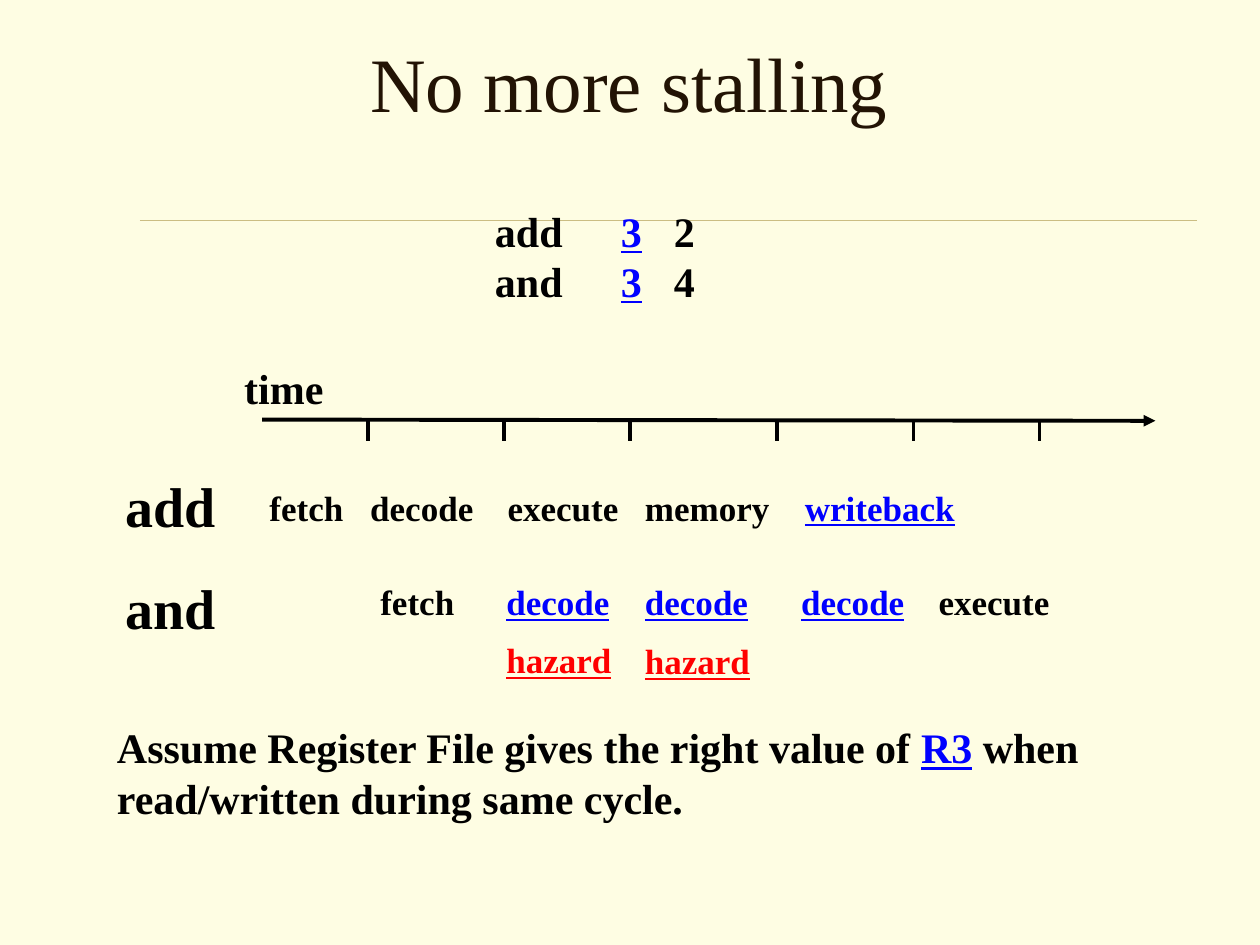
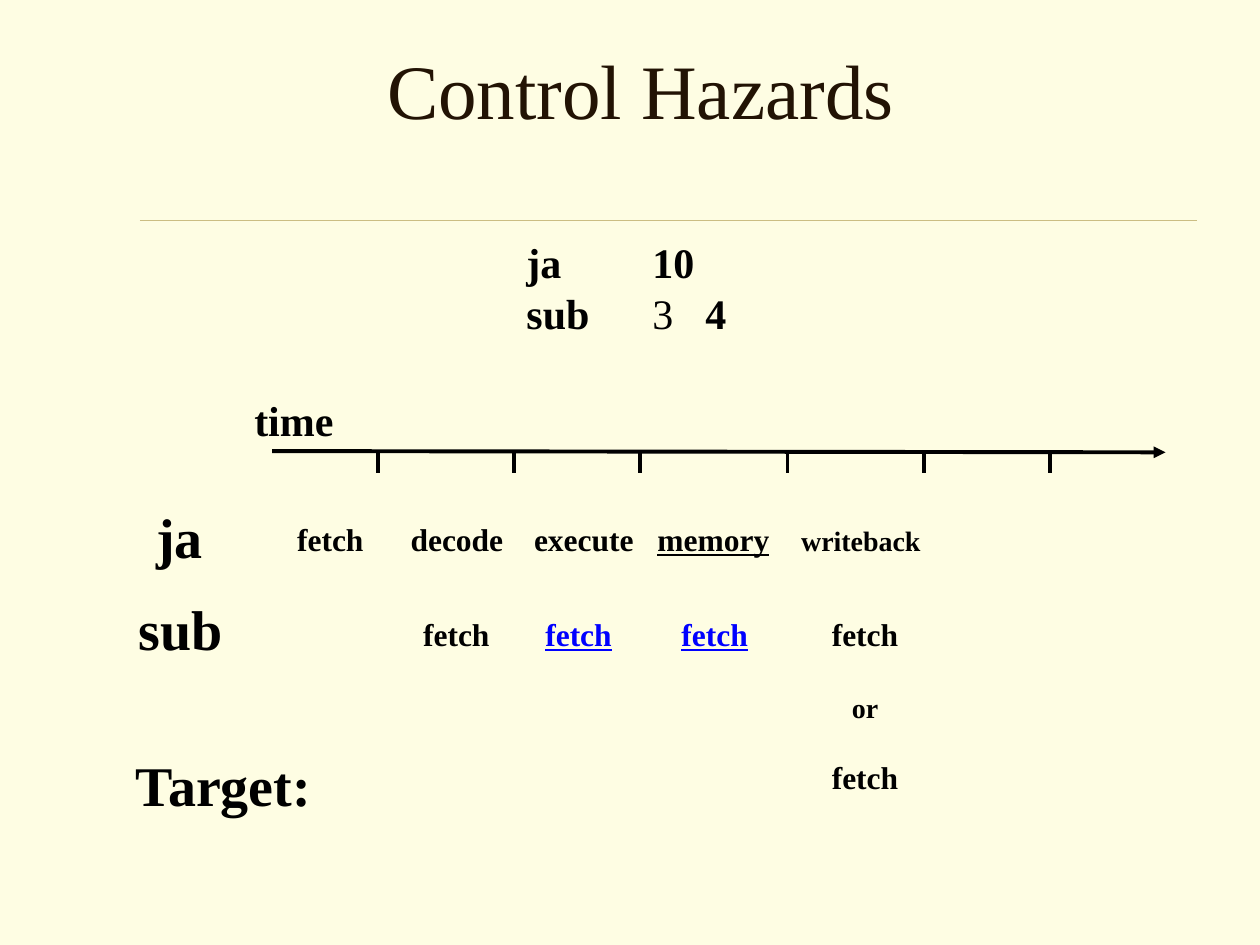
from dataclasses import dataclass

from pptx import Presentation
from pptx.dml.color import RGBColor
from pptx.enum.shapes import MSO_CONNECTOR as Connector
from pptx.enum.text import MSO_ANCHOR as Anchor, MSO_AUTO_SIZE as AutoSize, PP_ALIGN as Align
from pptx.oxml.ns import qn
from pptx.oxml.xmlchemy import OxmlElement
from pptx.slide import Slide
from pptx.util import Inches, Pt

COLORS = {
    "paper": "FEFDE3",
    "title": "221304",
    "rule": "CBBD83",
    "ink": "000000",
    "highlight": "0000FF",
    "hazard": "FF0000",
}
FONT = "Times New Roman"
TICK_OFFSETS = (0.84, 1.92, 2.92, 4.09, 5.17, 6.17)
TICK_LENGTH = 0.17
OPERAND_STOPS = (1.0, 1.42)


@dataclass(frozen=True)
class Cell:
    text: str
    color: str = "ink"
    underline: bool = False
    bold: bool = True
    size: float | None = None


@dataclass(frozen=True)
class Line:
    cells: tuple[Cell, ...]
    space_before: float = 0


@dataclass(frozen=True)
class Label:
    left: float
    top: float
    width: float
    height: float
    size: float
    lines: tuple[Line, ...]
    stops: tuple[float, ...] = ()
    wrap: bool = False
    align: Align = Align.LEFT


@dataclass(frozen=True)
class Topic:
    title: str
    title_left: float
    title_top: float
    axis_left: float
    axis_top: float
    labels: tuple[Label, ...]


def marked(text: str, color: str = "highlight") -> Cell:
    return Cell(text, color, underline=True)


def line(*cells: Cell | str) -> Line:
    return Line(tuple(Cell(cell) if isinstance(cell, str) else cell for cell in cells))


def heading(left: float, top: float, width: float, text: str) -> Label:
    return Label(left, top, width, 0.64, 32, (line(text),), wrap=True)


def hazard(left: float, top: float) -> Label:
    return Label(left, top, 1.1, 0.44, 20, (line(marked("hazard", "hazard")),), wrap=True)


TOPICS = (
    Topic("No more stalling", 0.83, 0.02, 2.08, 3.33, (
        Label(3.83, 1.58, 2.03, 0.9, 24,
              (line("add", marked("3"), "2"), line("and", marked("3"), "4")), OPERAND_STOPS),
        Label(2.04, 3.81, 5.64, 0.44, 20,
              (line("fetch", "decode", "execute", "memory", marked("writeback")),),
              (0.8, 1.89, 2.98, 4.25)),
        Label(2.92, 4.56, 5.51, 0.44, 20,
              (line("fetch", *[marked("decode")] * 3, "execute"),),
              (1.0, 2.1, 3.34, 4.43)),
        heading(0.9, 3.69, 1.0, "add"),
        heading(0.9, 4.5, 1.0, "and"),
        Label(0.83, 5.68, 8.75, 0.9, 24,
              (line("Assume Register File gives the right value of ", marked("R3"),
                    " when read/written during same cycle."),), wrap=True),
        hazard(3.92, 5.02),
        hazard(5.02, 5.03),
    )),
    Topic("Control Hazards", 0.92, 0.08, 2.16, 3.58, (
        Label(4.08, 1.83, 1.86, 0.9, 24,
              (line("ja", "10"), line("sub", Cell("3", bold=False), "4")), OPERAND_STOPS),
        Label(2.26, 4.08, 5.15, 0.4, 18,
              (line("fetch", "decode", "execute", marked("memory", "ink"),
                    Cell("writeback", size=16)),),
              (0.9, 1.88, 2.86, 4.0)),
        Label(3.26, 4.83, 2.78, 0.4, 18,
              (line("fetch", marked("fetch"), marked("fetch")),), (0.97, 2.05)),
        heading(1.14, 3.94, 0.65, "ja"),
        heading(1.0, 4.67, 0.95, "sub"),
        Label(6.47, 4.83, 0.79, 1.84, 18,
              (line("fetch"), Line((Cell("or", size=16),), 22), Line((Cell("fetch"),), 19)),
              wrap=True, align=Align.CENTER),
        heading(0.98, 5.91, 1.7, "Target:"),
    )),
)


def rgb(name: str) -> RGBColor:
    return RGBColor.from_string(COLORS[name])


def draw_line(slide: Slide, start: tuple[float, float], end: tuple[float, float],
              color: str = "ink", weight: float = 2.25, arrow: bool = False) -> None:
    stroke = slide.shapes.add_connector(
        Connector.STRAIGHT, *(Inches(value) for value in (*start, *end)))
    stroke.line.width = Pt(weight)
    stroke.line.color.rgb = rgb(color)
    properties = stroke._element.spPr
    if arrow:
        tail = OxmlElement("a:tailEnd")
        tail.set("type", "triangle")
        properties.find(qn("a:ln")).append(tail)
    properties.append(OxmlElement("a:effectLst"))


def set_tab_stops(paragraph, stops: tuple[float, ...]) -> None:
    tab_list = OxmlElement("a:tabLst")
    for stop in stops:
        tab = OxmlElement("a:tab")
        tab.set("pos", str(Inches(stop)))
        tab.set("algn", "l")
        tab_list.append(tab)
    paragraph._p.get_or_add_pPr().append(tab_list)


def add_cell(paragraph, cell: Cell, size: float) -> None:
    run = paragraph.add_run()
    run.text = cell.text
    run.font.name = FONT
    run.font.size = Pt(cell.size or size)
    run.font.bold = cell.bold
    run.font.underline = cell.underline
    run.font.color.rgb = rgb(cell.color)


def draw_label(slide: Slide, label: Label) -> None:
    frame = slide.shapes.add_textbox(
        Inches(label.left), Inches(label.top),
        Inches(label.width), Inches(label.height)).text_frame
    frame.word_wrap = label.wrap
    for index, row in enumerate(label.lines):
        paragraph = frame.add_paragraph() if index else frame.paragraphs[0]
        paragraph.alignment = label.align
        if label.stops:
            set_tab_stops(paragraph, label.stops)
        if row.space_before:
            paragraph.space_before = Pt(row.space_before)
        for position, cell in enumerate(row.cells):
            if position and label.stops:
                add_cell(paragraph, Cell("\t"), label.size)
            add_cell(paragraph, cell, label.size)


def draw_title(slide: Slide, topic: Topic) -> None:
    title = slide.shapes.title
    title.left, title.top = Inches(topic.title_left), Inches(topic.title_top)
    title.width, title.height = Inches(8.33), Inches(1.25)
    frame = title.text_frame
    frame.text = topic.title
    frame.auto_size = AutoSize.NONE
    frame.vertical_anchor = Anchor.MIDDLE
    paragraph = frame.paragraphs[0]
    paragraph.alignment = Align.CENTER
    font = paragraph.runs[0].font
    font.name, font.size = FONT, Pt(44)
    font.color.rgb = rgb("title")


def draw_time_axis(slide: Slide, left: float, top: float) -> None:
    draw_line(slide, (left, top), (left + 7.09, top + 0.01), arrow=True)
    draw_label(slide, Label(left - 0.24, top - 0.5, 0.9, 0.5, 24, (line("time"),), wrap=True))
    for offset in TICK_OFFSETS:
        draw_line(slide, (left + offset, top), (left + offset, top + TICK_LENGTH))


def main() -> None:
    deck = Presentation()
    deck.slide_width, deck.slide_height = Inches(10), Inches(7.5)
    backdrop = deck.slide_master.background.fill
    backdrop.solid()
    backdrop.fore_color.rgb = rgb("paper")
    title_only = deck.slide_layouts.get_by_name("Title Only")
    for topic in TOPICS:
        slide = deck.slides.add_slide(title_only)
        draw_line(slide, (1.11, 1.75), (9.5, 1.75), "rule", 0.25)
        draw_title(slide, topic)
        draw_time_axis(slide, topic.axis_left, topic.axis_top)
        for label in topic.labels:
            draw_label(slide, label)
    deck.save("out.pptx")


if __name__ == "__main__":
    main()
